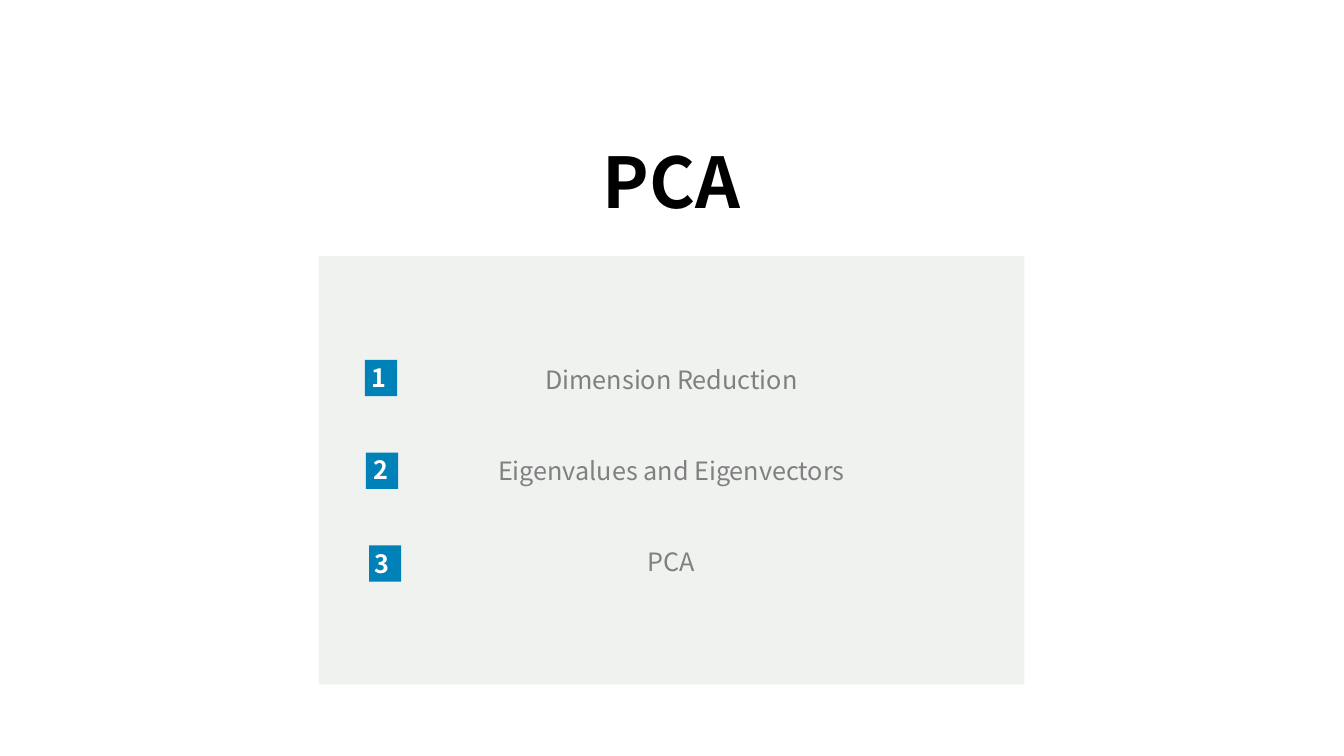
from pptx import Presentation
from pptx.dml.color import RGBColor
from pptx.enum.shapes import MSO_SHAPE
from pptx.enum.text import MSO_ANCHOR, PP_ALIGN
from pptx.util import Inches, Pt

RECTANGLE = MSO_SHAPE.RECTANGLE
MIDDLE = MSO_ANCHOR.MIDDLE
CENTER = PP_ALIGN.CENTER

FONT = "Noto Sans CJK KR"
BLACK, WHITE, GRAY = "000000", "FFFFFF", "808080"
PANEL_FILL, BADGE_FILL = "F0F2F0", "0081B7"
TOPIC_GAP = 43.3  # points between agenda lines

TOPICS = ["Dimension Reduction", "Eigenvalues and Eigenvectors", "PCA"]
# Per badge: square left, square top, number left, number top (from the panel)
BADGES = [
    (0.46, 1.03, 0.44, 1.01),
    (0.47, 1.95, 0.46, 1.92),
    (0.50, 2.87, 0.47, 2.85),
]


def color(hex_code):
    return RGBColor.from_string(hex_code)


def add_text(paragraph, text, size, hex_code, bold=False):
    paragraph.alignment = CENTER
    run = paragraph.add_run()
    run.text = text
    run.font.name = FONT
    run.font.size = Pt(size)
    run.font.bold = bold
    run.font.color.rgb = color(hex_code)


def add_block(slide, left, top, width, height, fill):
    block = slide.shapes.add_shape(
        RECTANGLE, Inches(left), Inches(top), Inches(width), Inches(height))
    block.shadow.inherit = False
    block.fill.solid()
    block.fill.fore_color.rgb = color(fill)
    block.line.fill.background()
    return block


def add_label(slide, left, top, width, height, text, size, hex_code):
    label = slide.shapes.add_textbox(
        Inches(left), Inches(top), Inches(width), Inches(height))
    frame = label.text_frame
    frame.word_wrap = True
    frame.margin_left = frame.margin_right = 0
    add_text(frame.paragraphs[0], text, size, hex_code, bold=True)


def add_agenda(slide, left, top, width, height):
    # Panel with the topics
    panel = add_block(slide, left, top, width, height, PANEL_FILL)
    frame = panel.text_frame
    frame.word_wrap = True
    frame.vertical_anchor = MIDDLE
    for index, topic in enumerate(TOPICS):
        paragraph = frame.add_paragraph() if index else frame.paragraphs[0]
        if index:
            paragraph.space_before = Pt(TOPIC_GAP)
        add_text(paragraph, topic, 18, GRAY)

    # Numbered badges
    for number, (square_x, square_y, digit_x, digit_y) in enumerate(BADGES, 1):
        add_block(slide, left + square_x, top + square_y, 0.32, 0.36, BADGE_FILL)
        add_label(slide, left + digit_x, top + digit_y, 0.32, 0.4,
                  str(number), 18, WHITE)


def main():
    deck = Presentation()
    deck.slide_width = Inches(13.33)
    deck.slide_height = Inches(7.5)
    slide = deck.slides.add_slide(deck.slide_layouts[6])
    # Title
    add_label(slide, 3.99, 1.33, 5.34, 0.94, "PCA", 50, BLACK)
    # Agenda
    add_agenda(slide, 3.16, 2.54, 7, 4.25)
    deck.save("out.pptx")


if __name__ == "__main__":
    main()
